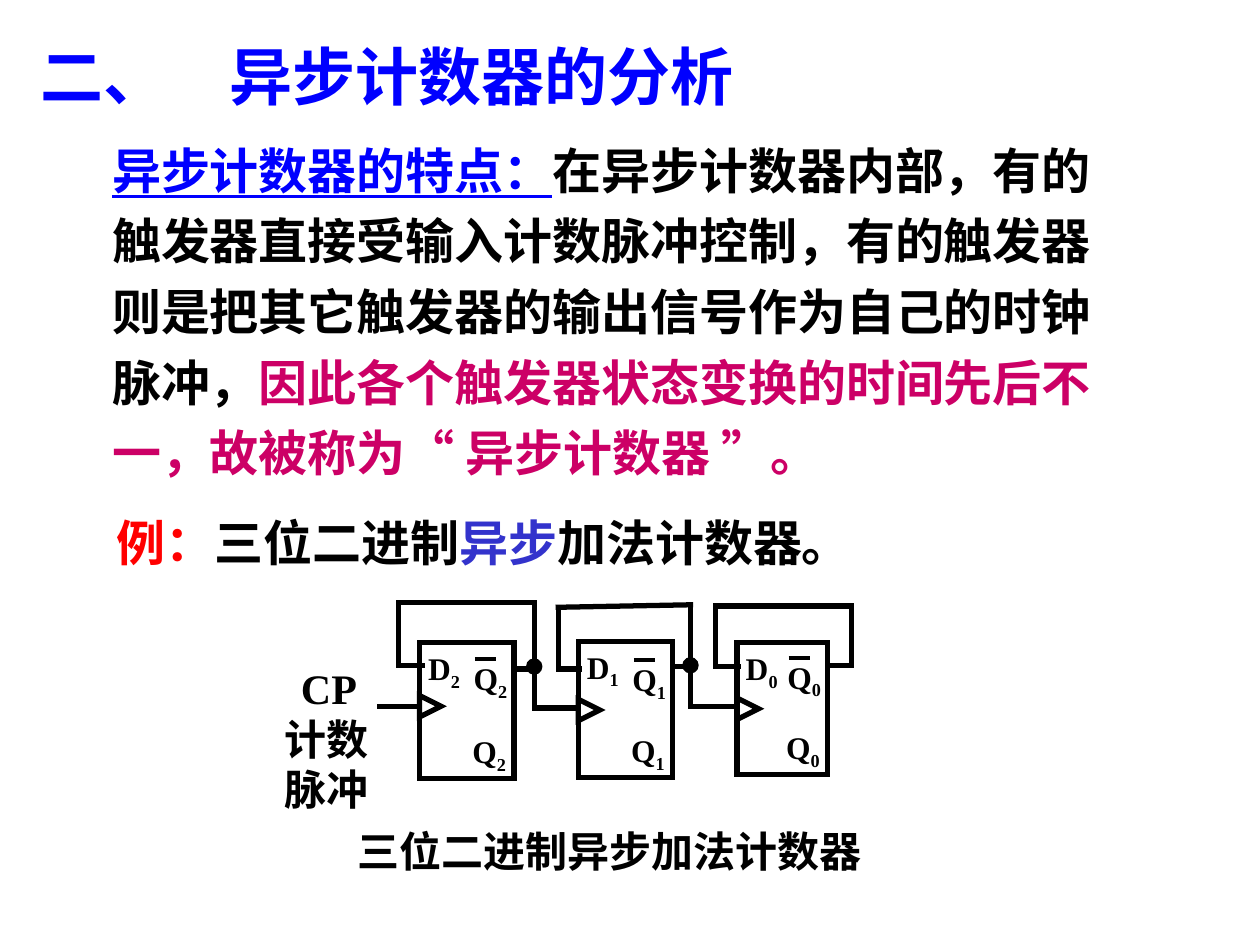
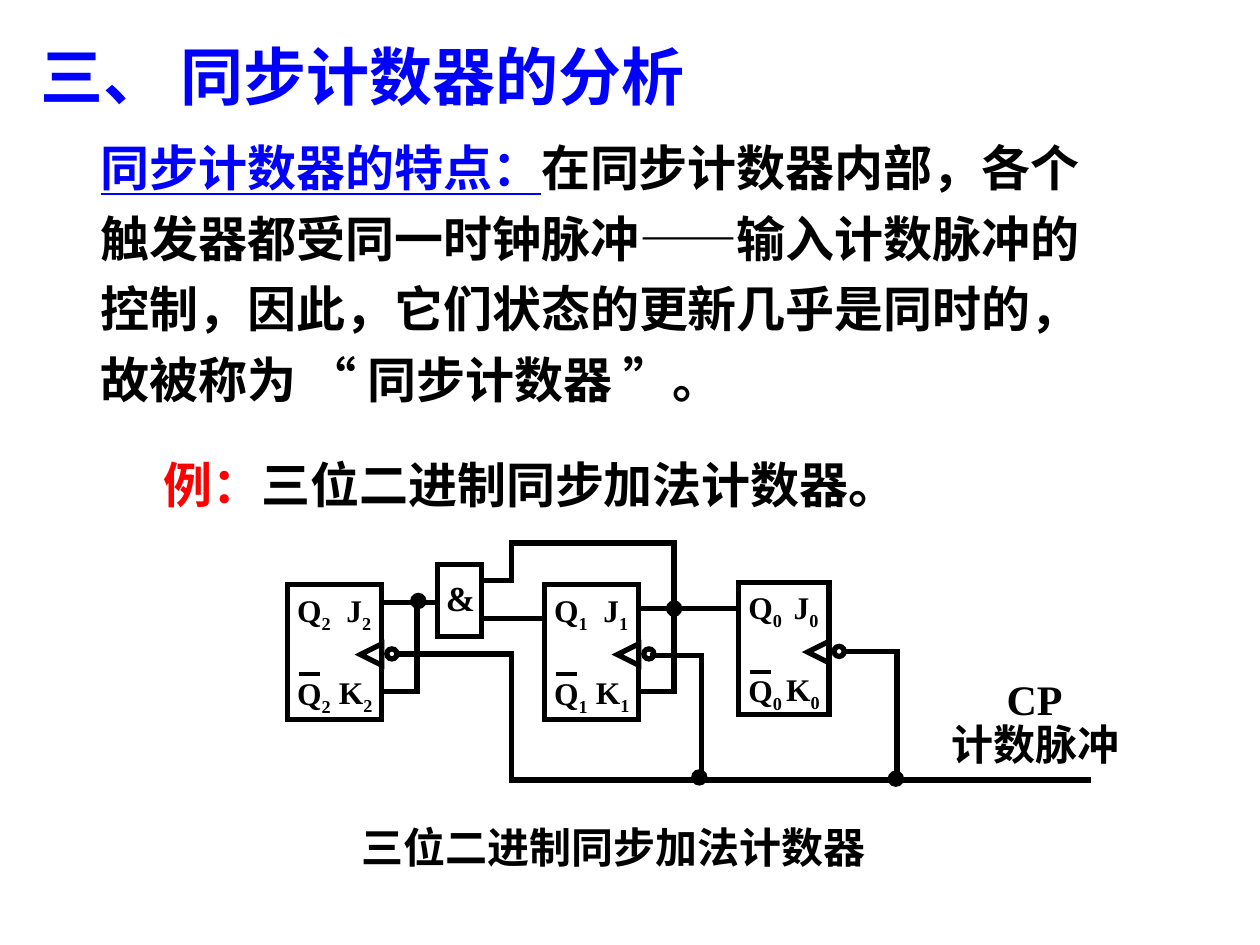
from itertools import pairwise

from lxml import etree
from pptx import Presentation
from pptx.dml.color import RGBColor
from pptx.enum import shapes, text
from pptx.oxml.ns import qn
from pptx.util import Inches, Pt

FONT = "Times New Roman"
BLACK, WHITE, BLUE, RED = "000000", "FFFFFF", "0000FF", "FF0000"
MAGENTA, INDIGO = "CC0066", "3333CC"
SHAPE = shapes.MSO_SHAPE

ASYNC = {
    "title": "二、\t异步计数器的分析",
    "feature_at": (0.79, 0.97, 8.11, 2.9),
    "feature": [
        ("异步计数器的特点：", BLUE),
        ("在异步计数器内部，有的触发器直接受输入计数脉冲控制，有的触发器则是把其它触发器的输出信号作为自己的时钟脉冲，", BLACK),
        ("因此各个触发器状态变换的时间先后不一，故被称为“ 异步计数器 ”。", MAGENTA),
    ],
    "example_at": (0.83, 4.02, 7.64, 0.57),
    "example": [("例：", RED), ("三位二进制", BLACK), ("异步", INDIGO), ("加法计数器。", BLACK)],
    "captions": [
        ("CP", (2.29, 5.21, 0.88, 0.5)),
        ("计数脉冲", (2.16, 5.61, 1.04, 0.9)),
        ("三位二进制异步加法计数器", (2.74, 6.5, 4.42, 0.5)),
    ],
    "wires": [
        [(3.35, 5.28), (3.16, 5.28), (3.16, 4.78), (4.24, 4.78), (4.24, 5.62), (4.59, 5.62)],
        [(4.6, 5.31), (4.43, 5.31), (4.43, 4.82), (5.48, 4.8), (5.48, 5.61), (5.85, 5.61)],
        [(5.86, 5.29), (5.68, 5.29), (5.68, 4.81), (6.76, 4.81), (6.76, 5.28), (6.57, 5.28)],
        [(4.1, 5.31), (4.24, 5.31)],
        [(5.34, 5.29), (5.48, 5.29)],
        [(3.01, 5.61), (3.33, 5.61)],
    ],
    "joints": [(4.24, 5.29), (5.48, 5.28)],
}
D_FLIP_FLOPS = [
    ("2", 3.33, 5.1, 0.75, 1.08, 0.42, 0.08),
    ("1", 4.59, 5.09, 0.75, 1.08, 0.46, 0.1),
    ("0", 5.85, 5.1, 0.72, 1.05, 0.44, 0.07),
]

SYNC = {
    "title": "三、 同步计数器的分析",
    "feature_at": (0.7, 0.95, 8.25, 2.34),
    "feature": [
        ("同步计数器的特点：", BLUE),
        ("在同步计数器内部，各个触发器都受同一时钟脉冲——输入计数脉冲的控制，因此，它们状态的更新几乎是同时的，故被称为 “ 同步计数器 ”。", BLACK),
    ],
    "example_at": (1.2, 3.56, 6.72, 0.57),
    "example": [("例：", RED), ("三位二进制同步加法计数器。", BLACK)],
    "captions": [
        ("CP", (7.89, 5.3, 0.85, 0.5)),
        ("计数脉冲", (7.45, 5.65, 1.62, 0.5)),
        ("三位二进制同步加法计数器", (2.77, 6.47, 5.75, 0.5)),
    ],
    "wires": [
        [(3.04, 4.78), (3.47, 4.78)],
        [(3.31, 4.78), (3.31, 5.49), (3.04, 5.49)],
        [(3.84, 4.61), (4.06, 4.61), (4.06, 4.31), (5.35, 4.31), (5.35, 5.49), (5.07, 5.49)],
        [(3.82, 4.91), (4.32, 4.91)],
        [(5.07, 4.83), (5.86, 4.83)],
        [(3.18, 5.19), (4.06, 5.19), (4.06, 6.19), (8.64, 6.19)],
        [(5.18, 5.2), (5.57, 5.2), (5.57, 6.19)],
        [(6.71, 5.17), (7.12, 5.17), (7.12, 6.19)],
    ],
    "joints": [(3.32, 4.77), (5.35, 4.83), (5.55, 6.17), (7.11, 6.18)],
}
JK_FLIP_FLOPS = [
    ("2", 2.28, 4.64, 0.75, 1.07),
    ("1", 4.32, 4.64, 0.75, 1.07),
    ("0", 5.86, 4.62, 0.72, 1.05),
]
AND_GATE = (3.47, 4.48, 0.35, 0.57)


def rgb(value):
    return RGBColor.from_string(value)


def place(shape, at):
    shape.left, shape.top, shape.width, shape.height = map(Inches, at)


def write(shape, runs, size, spacing=None, tab=None):
    frame = shape.text_frame
    frame.word_wrap = True
    frame.auto_size = text.MSO_AUTO_SIZE.NONE
    frame.vertical_anchor = text.MSO_ANCHOR.TOP
    line = frame.paragraphs[0]
    line.alignment = text.PP_ALIGN.LEFT
    line.space_before = Pt(0)
    if spacing:
        line.line_spacing = spacing
    props = line._p.get_or_add_pPr()
    props.set("marL", "0")
    props.set("indent", "0")
    etree.SubElement(props, qn("a:buNone"))
    if tab:
        stops = etree.SubElement(props, qn("a:tabLst"))
        etree.SubElement(stops, qn("a:tab"), pos=str(Inches(tab)), algn="l")
    line.font.name, line.font.size, line.font.bold = FONT, Pt(size), True
    for words, color in runs:
        run = line.add_run()
        run.text = words
        run.font.color.rgb = rgb(color)
    return line


def add_text(slide, at, runs, size):
    return write(slide.shapes.add_textbox(*map(Inches, at)), runs, size)


def add_label(slide, letter, index, left, top):
    line = add_text(slide, (left, top, 0.65, 0.4), [(letter, BLACK), (index, BLACK)], 18)
    line.runs[1].font._element.set("baseline", "-25000")


def add_outline(slide, kind, at, fill=None, weight=3, rotation=0):
    shape = slide.shapes.add_shape(kind, *map(Inches, at))
    shape.shadow.inherit = False
    shape.rotation = rotation
    if fill:
        shape.fill.solid()
        shape.fill.fore_color.rgb = rgb(fill)
    else:
        shape.fill.background()
    shape.line.color.rgb = rgb(BLACK)
    shape.line.width = Pt(weight)
    etree.SubElement(shape.line._get_or_add_ln(), qn("a:miter"), lim="800000")


def add_line(slide, start, end, weight=3, cap="sq"):
    line = slide.shapes.add_connector(shapes.MSO_CONNECTOR.STRAIGHT, *map(Inches, start + end))
    line.line.color.rgb = rgb(BLACK)
    line.line.width = Pt(weight)
    line.line._get_or_add_ln().set("cap", cap)
    etree.SubElement(line._element.spPr, qn("a:effectLst"))


def add_overbar(slide, left, top):
    add_line(slide, (left, top), (left + 0.17, top), 2.25, "flat")


def add_clock(slide, left, top, rotation):
    add_outline(slide, SHAPE.FLOWCHART_EXTRACT, (left, top, 0.17, 0.17), rotation=rotation)


def add_d_flip_flop(slide, index, left, top, width, height, clock, inverted):
    output = left + width - 0.42
    add_outline(slide, SHAPE.RECTANGLE, (left, top, width, height))
    add_clock(slide, left, top + clock, 90)
    add_label(slide, "D", index, left - 0.03, top)
    add_label(slide, "Q", index, output, top + inverted)
    add_overbar(slide, output + 0.11, top + inverted + 0.05)
    add_label(slide, "Q", index, output - 0.01, top + height - 0.42)


def add_jk_flip_flop(slide, index, left, top, width, height):
    right = left + width
    add_outline(slide, SHAPE.RECTANGLE, (left, top, width, height))
    add_clock(slide, right - 0.17, top + 0.47, 270)
    add_outline(slide, SHAPE.OVAL, (right + 0.04, top + 0.51, 0.08, 0.08))
    add_label(slide, "Q", index, left - 0.02, top)
    add_label(slide, "J", index, right - 0.38, top)
    add_label(slide, "Q", index, left - 0.02, top + 0.66)
    add_label(slide, "K", index, right - 0.44, top + 0.65)
    add_overbar(slide, left + 0.09, top + 0.71)


def add_counter_slide(deck, content):
    slide = deck.slides.add_slide(deck.slide_layouts[1])
    title, feature = slide.placeholders
    place(title, (0.22, 0.25, 6.94, 0.7))
    write(title, [(content["title"], BLUE)], 36, tab=1.22)
    place(feature, content["feature_at"])
    write(feature, content["feature"], 28, spacing=1.2).runs[0].font.underline = True
    add_text(slide, content["example_at"], content["example"], 28)
    for words, at in content["captions"]:
        add_text(slide, at, [(words, BLACK)], 24)
    for wire in content["wires"]:
        for start, end in pairwise(wire):
            add_line(slide, start, end)
    for x, y in content["joints"]:
        add_outline(slide, SHAPE.OVAL, (x - 0.06, y - 0.06, 0.12, 0.12), BLACK, 0.75)
    return slide


def main():
    deck = Presentation()
    deck.slide_width, deck.slide_height = Inches(10), Inches(7.5)

    asynchronous = add_counter_slide(deck, ASYNC)
    for flip_flop in D_FLIP_FLOPS:
        add_d_flip_flop(asynchronous, *flip_flop)

    synchronous = add_counter_slide(deck, SYNC)
    for flip_flop in JK_FLIP_FLOPS:
        add_jk_flip_flop(synchronous, *flip_flop)
    add_outline(synchronous, SHAPE.RECTANGLE, AND_GATE, WHITE)
    add_text(synchronous, (3.44, 4.53, 0.51, 0.43), [("&", BLACK)], 20)

    deck.save("out.pptx")


if __name__ == "__main__":
    main()
